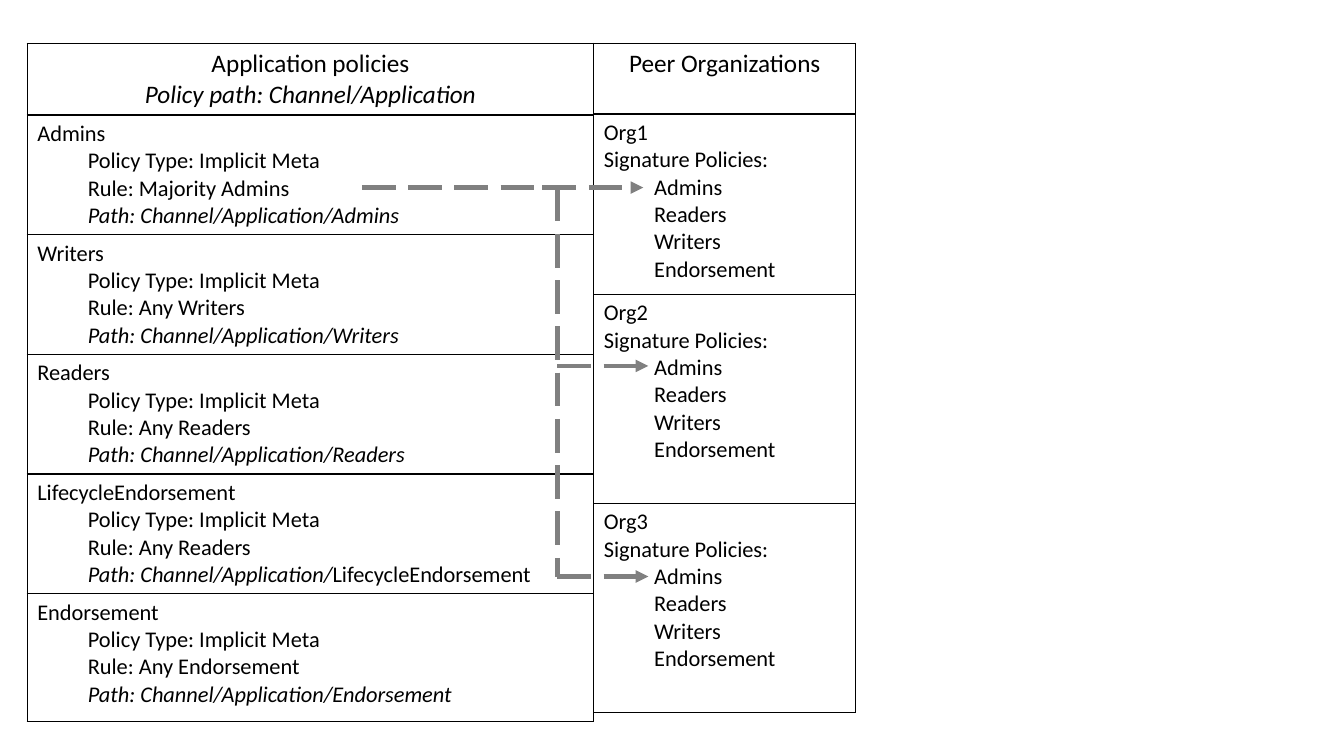
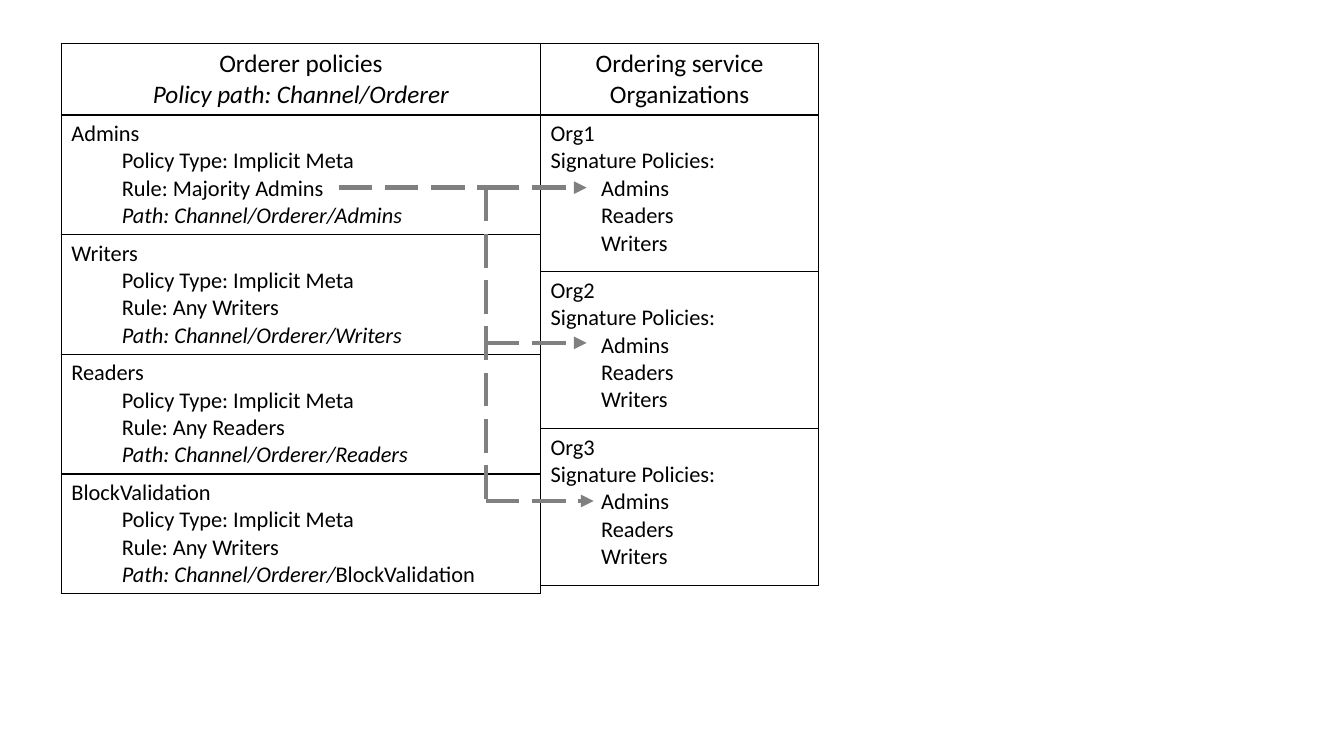
import dataclasses

import lxml.etree
import pptx
import pptx.dml.color
import pptx.enum.dml
import pptx.enum.shapes
import pptx.enum.text
import pptx.oxml.ns
import pptx.util

Pt = pptx.util.Pt
RGB = pptx.dml.color.RGBColor
qn = pptx.oxml.ns.qn


@dataclasses.dataclass(frozen=True)
class Theme:
    font: str = "Calibri"
    ink: str = "000000"
    arrow: str = "808080"
    heading_size: float = 18
    body_size: float = 16
    border: float = 1
    arrow_width: float = 3
    indent: float = 36


THEME = Theme()


@dataclasses.dataclass(frozen=True)
class Box:
    left: float
    top: float
    width: float


def add_border(cell):
    properties = cell._tc.get_or_add_tcPr()
    for position, side in enumerate(("a:lnL", "a:lnR", "a:lnT", "a:lnB")):
        edge = lxml.etree.Element(qn(side), w=str(Pt(THEME.border)))
        fill = lxml.etree.SubElement(edge, qn("a:solidFill"))
        lxml.etree.SubElement(fill, qn("a:srgbClr"), val=THEME.ink)
        properties.insert(position, edge)


def write_cell(cell, lines, size, centred=False):
    cell.fill.background()
    add_border(cell)
    frame = cell.text_frame
    for number, (level, runs) in enumerate(lines):
        paragraph = frame.add_paragraph() if number else frame.paragraphs[0]
        if centred:
            paragraph.alignment = pptx.enum.text.PP_ALIGN.CENTER
        if level:
            paragraph.level = level
            paragraph._p.get_or_add_pPr().set("marL", str(Pt(THEME.indent * level)))
        for text, italic in runs:
            run = paragraph.add_run()
            run.text = text
            run.font.name = THEME.font
            run.font.size = Pt(size)
            run.font.italic = italic
            run.font.color.rgb = RGB.from_string(THEME.ink)


def add_column(slide, box, heading, entries, heights):
    table = slide.shapes.add_table(
        len(heights), 1, Pt(box.left), Pt(box.top), Pt(box.width), Pt(sum(heights))
    ).table
    table.first_row = table.horz_banding = False
    for row, height in zip(table.rows, heights):
        row.height = Pt(height)
    write_cell(table.cell(0, 0), heading, THEME.heading_size, centred=True)
    for number, lines in enumerate(entries, 1):
        write_cell(table.cell(number, 0), lines, THEME.body_size)


def add_policies(slide, box, group, policies, heights):
    root = f"Channel/{group}"
    heading = [
        (0, [(f"{group} policies", False)]),
        (0, [(f"Policy path: {root}", True)]),
    ]
    entries = [
        [
            (0, [(name, False)]),
            (1, [("Policy Type: Implicit Meta", False)]),
            (1, [(f"Rule: {rule}", False)]),
            (1, [(f"Path: {root}/", True), (name, italic_name)]),
        ]
        for name, rule, italic_name in policies
    ]
    add_column(slide, box, heading, entries, heights)


def add_organizations(slide, box, title, signatures, heights):
    entries = [
        [(0, [(f"Org{number}", False)]), (0, [("Signature Policies:", False)])]
        + [(1, [(name, False)]) for name in signatures]
        for number in range(1, len(heights))
    ]
    add_column(slide, box, [(0, [(title, False)])], entries, heights)


def add_dash(slide, start, end, arrowhead=False):
    dash = slide.shapes.add_connector(
        pptx.enum.shapes.MSO_CONNECTOR.STRAIGHT, *map(Pt, start + end)
    )
    dash.line.color.rgb = RGB.from_string(THEME.arrow)
    dash.line.width = Pt(THEME.arrow_width)
    dash.line.dash_style = pptx.enum.dml.MSO_LINE.LONG_DASH
    if arrowhead:
        lxml.etree.SubElement(dash.line._get_or_add_ln(), qn("a:tailEnd"), type="triangle")
    lxml.etree.SubElement(dash._element.spPr, qn("a:effectLst"))


def add_admin_arrows(slide, box, rule_span, trunk, first_start, targets):
    def place(x, y):
        return box.left + x, box.top + y

    first_y, last_y = targets[0][1], targets[-1][1]
    rule_start, rule_end = rule_span
    add_dash(slide, place(rule_start, first_y), place(rule_end, first_y))
    add_dash(slide, place(trunk, first_y), place(trunk, last_y))
    for number, (x, y) in enumerate(targets):
        start = trunk if number else first_start
        add_dash(slide, place(start, y), place(x, y), arrowhead=True)


def add_application_slide(slide, box):
    split = 404.6
    policies = [
        ("Admins", "Majority Admins", True),
        ("Writers", "Any Writers", True),
        ("Readers", "Any Readers", True),
        ("LifecycleEndorsement", "Any Readers", False),
        ("Endorsement", "Any Endorsement", True),
    ]
    add_policies(slide, Box(box.left, box.top, split), "Application", policies,
                 [51.2] + [85.4] * 4 + [91.4])
    add_organizations(slide, Box(box.left + split, box.top, box.width - split),
                      "Peer Organizations",
                      ["Admins", "Readers", "Writers", "Endorsement"],
                      [50.4, 128.9, 149.2, 149.2])
    add_admin_arrows(slide, box, (239, 370), 378.7, 368,
                     [(440, 103), (443.6, 230.4), (443.6, 380.8)])


def add_orderer_slide(slide, box):
    split = 342.4
    policies = [
        ("Admins", "Majority Admins", True),
        ("Writers", "Any Writers", True),
        ("Readers", "Any Readers", True),
        ("BlockValidation", "Any Writers", False),
    ]
    add_policies(slide, Box(box.left, box.top, split), "Orderer", policies,
                 [51.2] + [85.4] * 4)
    add_organizations(slide, Box(box.left + split, box.top, box.width - split),
                      "Ordering service Organizations",
                      ["Admins", "Readers", "Writers"],
                      [51.2] + [112] * 3)
    add_admin_arrows(slide, box, (198, 303.2), 303.2, 303.2,
                     [(375.2, 103), (375.2, 213.9), (380.2, 326.9)])


def main():
    deck = pptx.Presentation()
    deck.slide_width, deck.slide_height = Pt(960), Pt(540)
    blank = deck.slide_layouts[6]
    add_application_slide(deck.slides.add_slide(blank), Box(19.5, 31, 591.8))
    add_orderer_slide(deck.slides.add_slide(blank), Box(43.8, 31, 541))
    deck.save("out.pptx")


if __name__ == "__main__":
    main()
